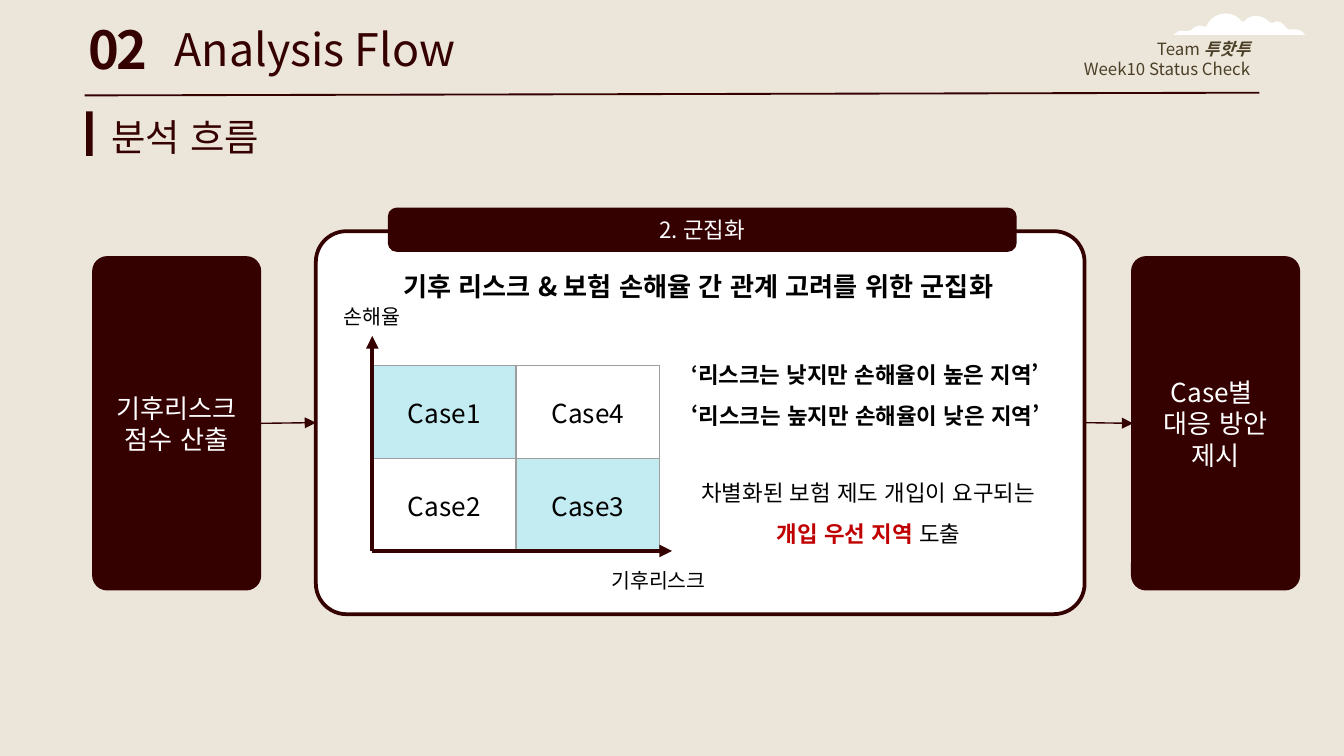
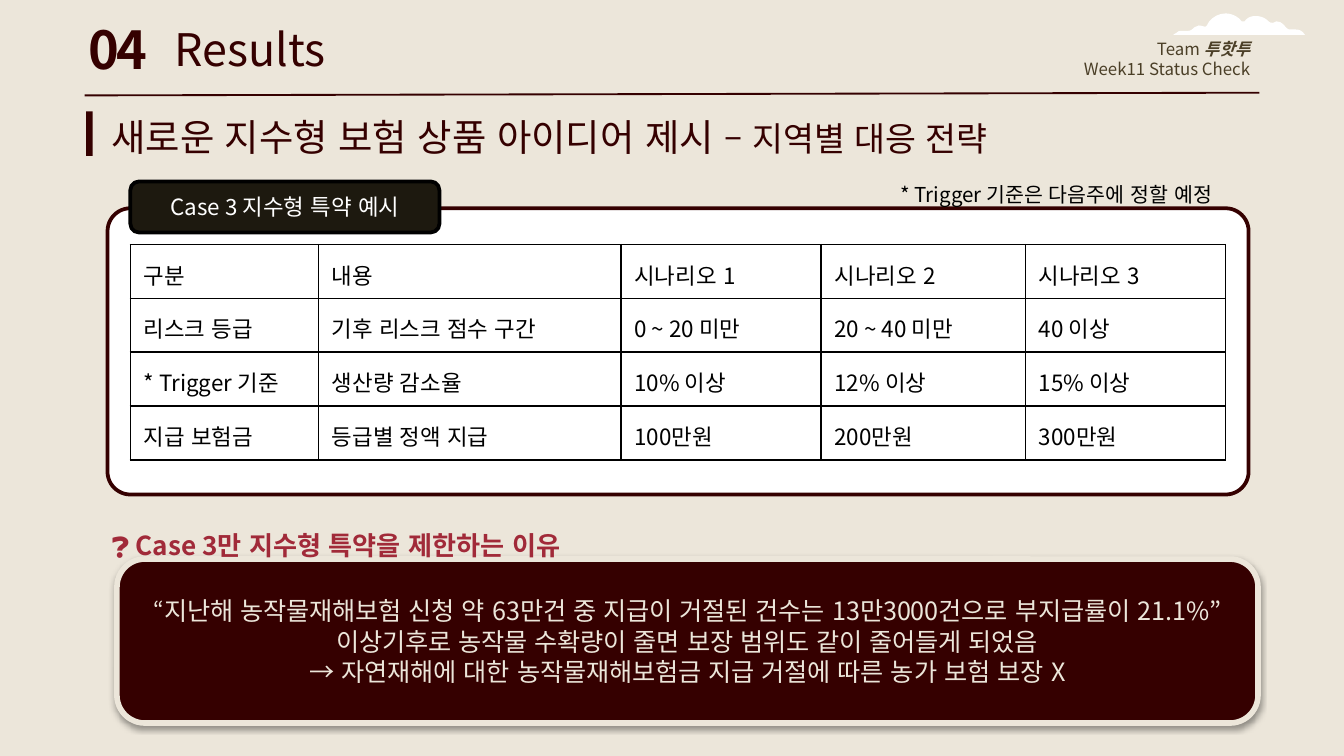
from lxml.etree import SubElement
from pptx import Presentation
from pptx.dml.color import RGBColor
from pptx.enum.lang import MSO_LANGUAGE_ID
from pptx.enum.shapes import MSO_CONNECTOR, MSO_SHAPE
from pptx.enum.text import MSO_ANCHOR, MSO_AUTO_SIZE, PP_ALIGN
from pptx.oxml.ns import qn
from pptx.util import Inches, Pt

FONT = "Noto Sans CJK KR"
BEIGE, MAROON, AXIS, BROWN = "ECE6DA", "350000", "340000", "4B3F27"
WHITE, BLACK, RED, CRIMSON, AQUA = "FFFFFF", "000000", "C00000", "A12A39", "C2EBF2"
LEFT, CENTER, RIGHT = PP_ALIGN.LEFT, PP_ALIGN.CENTER, PP_ALIGN.RIGHT
rgb = RGBColor.from_string


def put_text(tf, paras, size, color, align=LEFT, bold=False, spacing=1.0):
    """Each paragraph is a string or a list of (text, font overrides)."""
    for i, runs in enumerate(paras):
        p = tf.paragraphs[0] if i == 0 else tf.add_paragraph()
        p.alignment, p.line_spacing, p.space_before = align, spacing, Pt(0)
        p.font.size, p.font.bold, p.font.name = Pt(size), bold, FONT
        p.font.color.rgb = rgb(color)
        p.font.language_id = MSO_LANGUAGE_ID.KOREAN
        defaults = p._p.pPr.find(qn("a:defRPr"))
        defaults.set("kern", "0")
        SubElement(defaults, qn("a:ea"), typeface=FONT)
        for text, overrides in [(runs, {})] if isinstance(runs, str) else runs:
            r = p.add_run()
            r.text = text
            for name, value in overrides.items():
                if name == "color":
                    r.font.color.rgb = rgb(value)
                else:
                    setattr(r.font, name, value)


def add_line(s, x1, y1, x2, y2, color, width, arrow=True):
    line = s.shapes.add_connector(MSO_CONNECTOR.STRAIGHT, Inches(x1), Inches(y1),
                                  Inches(x2), Inches(y2))
    line.line.color.rgb = rgb(color)
    line.line.width = Pt(width)
    spPr = line._element.spPr
    if arrow:
        SubElement(spPr.find(qn("a:ln")), qn("a:tailEnd"), type="triangle")
    SubElement(spPr, qn("a:effectLst"))
    return line


# 16:9 page with one background for all slides
prs = Presentation()
prs.slide_width, prs.slide_height = Inches(10), Inches(10 * 9 / 16)
background = prs.slide_master.background.fill
background.solid()
background.fore_color.rgb = rgb(BEIGE)

# Cloud outline in hundredths of an inch: start, then Bézier segments
cloud_start = (912, 10)
cloud_curves = [
    (906, 10, 900, 14, 898, 19), (897, 21, 895, 19, 892, 19), (890, 20, 889, 20, 888, 21),
    (887, 22, 886, 23, 884, 23), (883, 23, 881, 23, 880, 23), (878, 23, 877, 23, 876, 24),
    (875, 25, 874, 25, 873, 26), (873, 26, 971, 26, 971, 26), (969, 23, 967, 22, 964, 22),
    (962, 22, 961, 22, 959, 22), (956, 21, 955, 16, 950, 16), (949, 16, 948, 17, 947, 17),
    (946, 17, 945, 17, 944, 16), (941, 13, 938, 12, 934, 12), (931, 12, 928, 13, 926, 16),
    (925, 16, 925, 16, 924, 16), (921, 12, 916, 10, 912, 10),
]
cloud_points = []
x0, y0 = cloud_start
for x1, y1, x2, y2, x3, y3 in cloud_curves:
    for t in (0.2, 0.4, 0.6, 0.8, 1):
        u = 1 - t
        a, b, c, d = u**3, 3 * u * u * t, 3 * u * t * t, t**3
        cloud_points.append((Inches((a * x0 + b * x1 + c * x2 + d * x3) / 100),
                             Inches((a * y0 + b * y1 + c * y2 + d * y3) / 100)))
    x0, y0 = x3, y3

# Shared header: cloud, rule, team label, accent bar, number and title
headers = [
    ("02", "Analysis Flow", "Week10 Status Check"),
    ("04", "Results", "Week11 Status Check"),
]
slides = []
for number, title, week in headers:
    s = prs.slides.add_slide(prs.slide_layouts[0])
    slides.append(s)
    builder = s.shapes.build_freeform(Inches(cloud_start[0] / 100), Inches(cloud_start[1] / 100))
    builder.add_line_segments(cloud_points)
    cloud = builder.convert_to_shape()
    bar = s.shapes.add_shape(MSO_SHAPE.RECTANGLE, Inches(0.64), Inches(0.83),
                             Inches(0.05), Inches(0.33))
    for sp, color in ((cloud, WHITE), (bar, MAROON)):
        sp.fill.solid()
        sp.fill.fore_color.rgb = rgb(color)
        sp.line.fill.background()
        sp.shadow.inherit = False
    add_line(s, 0.63, 0.71, 9.37, 0.69, MAROON, 1, arrow=False)

    number_box = s.shapes.add_textbox(0, 0, 0, 0)
    team = [[("Team ", {}), ("투핫투", {"bold": True, "italic": True})], week]
    for sp, x, y, w, h, paras, size, color, align, bold in [
        (s.shapes.title, 1.2, 0.15, 4.46, 0.43, [title], 24, MAROON, LEFT, False),
        (s.placeholders[1], 6.84, 0.22, 2.56, 0.43, team, 9, BROWN, RIGHT, False),
        (number_box, 0.56, 0.11, 0.68, 0.51, [number], 28, MAROON, LEFT, True),
    ]:
        sp.left, sp.top, sp.width, sp.height = Inches(x), Inches(y), Inches(w), Inches(h)
        tf = sp.text_frame
        tf.word_wrap, tf.auto_size = True, MSO_AUTO_SIZE.NONE
        tf.vertical_anchor = MSO_ANCHOR.MIDDLE
        put_text(tf, paras, size, color, align, bold)
    number_run = number_box.text_frame.paragraphs[0].runs[0]
    number_run._r.get_or_add_rPr().set("spc", "-150")

flow, results = slides

# Rounded boxes of both slides
reason = [
    [("“", {"size": Pt(12)}),
     ("지난해 농작물재해보험 신청 약 63만건 중 지급이 거절된 건수는 13만3000건으로 부지급률이 21.1%”", {})],
    "이상기후로 농작물 수확량이 줄면 보장 범위도 같이 줄어들게 되었음",
    "→ 자연재해에 대한 농작물재해보험금 지급 거절에 따른 농가 보험 보장 X",
]
boxes = []
for s, x, y, w, h, adj, fill, outline, width, paras, size, color in [
    (flow, 2.35, 1.72, 5.72, 2.85, 0.08, WHITE, MAROON, 2, [], 12, BLACK),
    (flow, 2.9, 1.56, 4.65, 0.3, 0.17, MAROON, MAROON, 2, ["2. 군집화"], 12, WHITE),
    (flow, 0.7, 1.92, 1.23, 2.46, 0.08, MAROON, MAROON, 2, ["기후리스크 점수 산출"], 14, WHITE),
    (flow, 8.43, 1.92, 1.23, 2.46, 0.08, MAROON, MAROON, 2,
     ["Case별 ", "대응 방안", "제시"], 14, WHITE),
    (results, 0.8, 1.55, 8.49, 2.13, 0.08, WHITE, MAROON, 2, [], 12, BLACK),
    (results, 0.97, 1.35, 2.3, 0.38, 0.17, "1D190F", BLACK, 2,
     ["Case 3 지수형 특약 예시"], 12, WHITE),
    (results, 0.87, 4.16, 8.49, 1.22, 0.17, MAROON, BEIGE, 3, reason, 13.5, BEIGE),
]:
    sp = s.shapes.add_shape(MSO_SHAPE.ROUNDED_RECTANGLE, Inches(x), Inches(y),
                            Inches(w), Inches(h))
    sp.adjustments[0] = adj
    sp.fill.solid()
    sp.fill.fore_color.rgb = rgb(fill)
    sp.line.color.rgb = rgb(outline)
    sp.line.width = Pt(width)
    sp.shadow.inherit = False
    sp.text_frame.vertical_anchor = MSO_ANCHOR.MIDDLE
    put_text(sp.text_frame, paras, size, color, CENTER)
    boxes.append(sp)
panel, _, risk_box, response_box, _, _, reason_box = boxes

# Soft shadow under the reason box
effects = reason_box._element.spPr.find(qn("a:effectLst"))
shadow = SubElement(effects, qn("a:outerShdw"), blurRad=str(Pt(3.1)), dist=str(Pt(1.6)),
                    dir="5400000", algn="t", rotWithShape="0")
shadow_color = SubElement(shadow, qn("a:srgbClr"), val=BLACK)
SubElement(shadow_color, qn("a:alpha"), val="38000")

# Arrows between the steps
for begin, end in ((risk_box, panel), (panel, response_box)):
    arrow = add_line(flow, 0, 0, 1, 1, AXIS, 0.75)
    arrow.begin_connect(begin, 3)
    arrow.end_connect(end, 1)

# Headings, notes and axis labels
findings = [
    [("‘", {"size": Pt(11)}), ("리스크는 낮지만 손해율이 높은 지역’", {})],
    "‘리스크는 높지만 손해율이 낮은 지역’",
    [(" ", {"size": Pt(11)}), ("차별화된 보험 제도 개입이 요구되는", {"bold": False})],
    [(" ", {}), ("개입 우선 지역", {"color": RED}), (" 도출", {"bold": False})],
]
subtitle = [[("새로운 지수형 보험 상품 아이디어 제시 ", {}), ("– 지역별 대응 전략", {"size": Pt(18)})]]
for s, x, y, w, h, paras, size, color, align, bold, spacing in [
    (flow, 0.73, 0.8, 5.23, 0.43, ["분석 흐름"], 20, MAROON, LEFT, False, 1),
    (flow, 4.95, 2.54, 2.98, 1.61, findings, 12, BLACK, CENTER, True, 1.5),
    (flow, 2.3, 2.21, 0.93, 0.29, ["손해율"], 11, BLACK, CENTER, False, 1),
    (flow, 4.41, 4.18, 0.98, 0.29, ["기후리스크"], 11, BLACK, CENTER, False, 1),
    (flow, 2.61, 1.96, 5.23, 0.34,
     ["기후 리스크 & 보험 손해율 간 관계 고려를 위한 군집화 "], 14, BLACK, CENTER, True, 1),
    (results, 0.73, 0.8, 8.64, 0.43, subtitle, 20, MAROON, LEFT, False, 1),
    (results, 6.43, 1.21, 2.86, 0.38,
     ["* Trigger 기준은 다음주에 정할 예정"], 11, BLACK, CENTER, False, 1.5),
    (results, 0.73, 3.77, 5.97, 0.45,
     ["❓ Case 3만 지수형 특약을 제한하는 이유"], 14, CRIMSON, LEFT, True, 1.5),
]:
    tf = s.shapes.add_textbox(Inches(x), Inches(y), Inches(w), Inches(h)).text_frame
    tf.word_wrap = True
    if size == 20:
        tf.vertical_anchor = MSO_ANCHOR.MIDDLE
    put_text(tf, paras, size, color, align, bold, spacing)
    if paras is findings:
        tf.paragraphs[2].space_before = Pt(20)

# Case matrix and scenario table
cases = [["Case1", "Case4"], ["Case2", "Case3"]]
scenarios = [
    ["구분", "내용", "시나리오 1", "시나리오 2", "시나리오 3"],
    ["리스크 등급", "기후 리스크 점수 구간", "0 ~ 20 미만", "20 ~ 40 미만", "40 이상"],
    ["* Trigger 기준", "생산량 감소율", "10% 이상", "12% 이상", "15% 이상"],
    ["지급 보험금", "등급별 정액 지급", "100만원", "200만원", "300만원"],
]
for s, x, y, widths, height, rows, size, align, anchor, inset, border, weight in [
    (flow, 2.77, 2.72, [1.07, 1.07], 0.69, cases, 14, CENTER, MSO_ANCHOR.MIDDLE, 0.05,
     "9E9E9E", 0.75),
    (results, 0.97, 1.82, [1.4, 2.25, 1.49, 1.52, 1.49], 0.4, scenarios, 12, LEFT,
     MSO_ANCHOR.TOP, 0.1, BLACK, 1),
]:
    table = s.shapes.add_table(len(rows), len(widths), Inches(x), Inches(y),
                               Inches(sum(widths)), Inches(height * len(rows))).table
    table.first_row = table.horz_banding = False
    for column, w in zip(table.columns, widths):
        column.width = Inches(w)
    for i, row in enumerate(rows):
        table.rows[i].height = Inches(height)
        for j, text in enumerate(row):
            cell = table.cell(i, j)
            cell.vertical_anchor = anchor
            cell.margin_top = cell.margin_bottom = Inches(inset)
            put_text(cell.text_frame, [text], size, BLACK, align)
            tcPr = cell._tc.get_or_add_tcPr()
            for side in ("a:lnL", "a:lnR", "a:lnT", "a:lnB"):
                ln = SubElement(tcPr, qn(side), w=str(Pt(weight)))
                SubElement(SubElement(ln, qn("a:solidFill")), qn("a:srgbClr"), val=border)
            if text in ("Case1", "Case3"):
                cell.fill.solid()
                cell.fill.fore_color.rgb = rgb(AQUA)
            else:
                cell.fill.background()

# Axes of the case matrix
for x, y in ((2.77, 2.5), (5, 4.1)):
    add_line(flow, 2.77, 4.1, x, y, AXIS, 2.25)

prs.save("out.pptx")
